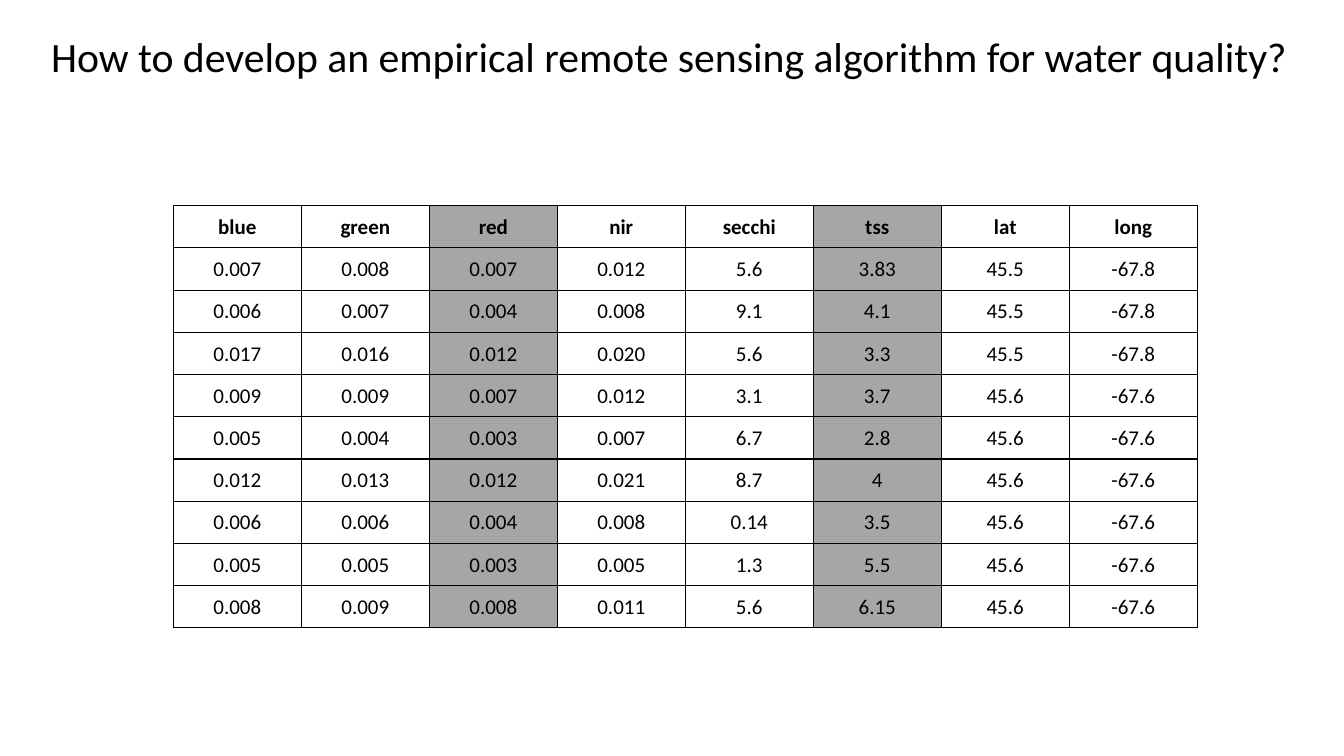
from lxml import etree
from pptx import Presentation
from pptx.dml.color import RGBColor
from pptx.enum import text
from pptx.oxml import ns
from pptx import util as u

SLIDE_W, SLIDE_H = 13.33, 7.5
FONT = "Calibri"
COLORS = {"ink": "000000", "paper": "FFFFFF", "highlight": "A6A6A6"}
TITLE = "How to develop an empirical remote sensing algorithm for water quality?"
BANDS = ["blue", "green", "red", "nir", "secchi", "tss", "lat", "long"]
HIGHLIGHTED = {"red", "tss"}
SAMPLES = [
    ["0.007", "0.008", "0.007", "0.012", "5.6", "3.83", "45.5", "-67.8"],
    ["0.006", "0.007", "0.004", "0.008", "9.1", "4.1", "45.5", "-67.8"],
    ["0.017", "0.016", "0.012", "0.020", "5.6", "3.3", "45.5", "-67.8"],
    ["0.009", "0.009", "0.007", "0.012", "3.1", "3.7", "45.6", "-67.6"],
    ["0.005", "0.004", "0.003", "0.007", "6.7", "2.8", "45.6", "-67.6"],
    ["0.012", "0.013", "0.012", "0.021", "8.7", "4", "45.6", "-67.6"],
    ["0.006", "0.006", "0.004", "0.008", "0.14", "3.5", "45.6", "-67.6"],
    ["0.005", "0.005", "0.003", "0.005", "1.3", "5.5", "45.6", "-67.6"],
    ["0.008", "0.009", "0.008", "0.011", "5.6", "6.15", "45.6", "-67.6"],
]


def write_centred(frame, wording, size, bold=False):
    paragraph = frame.paragraphs[0]
    paragraph.alignment = text.PP_ALIGN.CENTER
    run = paragraph.add_run()
    run.text = wording
    run.font.name = FONT
    run.font.size = u.Pt(size)
    run.font.bold = bold
    run.font.color.rgb = RGBColor.from_string(COLORS["ink"])


def add_borders(cell, width=1):
    properties = cell._tc.get_or_add_tcPr()
    for side in ("lnL", "lnR", "lnT", "lnB"):
        line = etree.SubElement(properties, ns.qn(f"a:{side}"), w=str(u.Pt(width)))
        fill = etree.SubElement(line, ns.qn("a:solidFill"))
        etree.SubElement(fill, ns.qn("a:srgbClr"), val=COLORS["ink"])


def place_title(slide, left, top, width, height):
    title = slide.shapes.title
    title.left, title.top = u.Inches(left), u.Inches(top)
    title.width, title.height = u.Inches(width), u.Inches(height)
    frame = title.text_frame
    frame.word_wrap = True
    frame.auto_size = text.MSO_AUTO_SIZE.NONE
    frame.vertical_anchor = text.MSO_ANCHOR.BOTTOM
    write_centred(frame, TITLE, 29.8)


def place_samples(slide, left, top, width, height):
    rows = [BANDS] + SAMPLES
    table = slide.shapes.add_table(
        len(rows), len(BANDS), u.Inches(left), u.Inches(top),
        u.Inches(width), u.Inches(height)).table
    table.horz_banding = False
    for row in table.rows:
        row.height = u.Inches(height / len(rows))

    # Header row and measurements
    for r, values in enumerate(rows):
        for c, (band, value) in enumerate(zip(BANDS, values)):
            cell = table.cell(r, c)
            cell.margin_left = cell.margin_right = cell.margin_top = u.Inches(0.01)
            cell.margin_bottom = 0
            cell.vertical_anchor = text.MSO_ANCHOR.MIDDLE
            add_borders(cell)
            cell.fill.solid()
            shade = "highlight" if band in HIGHLIGHTED else "paper"
            cell.fill.fore_color.rgb = RGBColor.from_string(COLORS[shade])
            write_centred(cell.text_frame, value, 15, bold=r == 0)


def main():
    deck = Presentation()
    deck.slide_width, deck.slide_height = u.Inches(SLIDE_W), u.Inches(SLIDE_H)
    slide = deck.slides.add_slide(deck.slide_layouts[5])
    place_title(slide, SLIDE_W * 0.02, SLIDE_H / 30, SLIDE_W * 0.956, SLIDE_H * 0.08)
    place_samples(slide, SLIDE_W * 0.129, SLIDE_H * 0.272,
                  SLIDE_W * 0.762, SLIDE_H * 0.559)
    deck.save("out.pptx")


if __name__ == "__main__":
    main()
